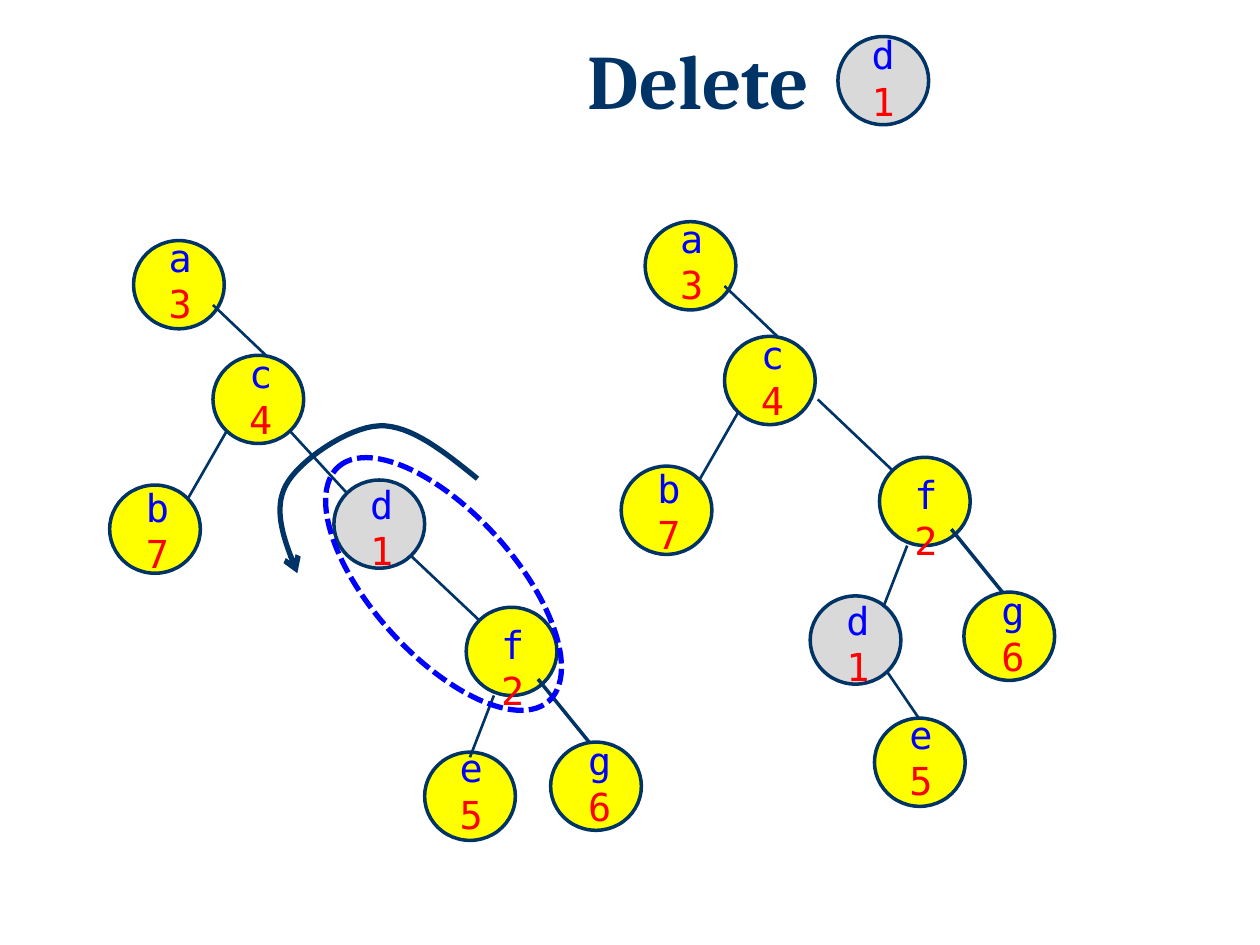
"""Build a slide showing a treap rotation while deleting node d."""
from typing import NamedTuple

from lxml import etree
from pptx import Presentation
from pptx import util as u
from pptx.dml import color
from pptx.enum import dml, shapes, text
from pptx.oxml import ns

NAVY, BLUE, RED, YELLOW, GRAY = "003366", "0000FF", "FF0000", "FFFF00", "D9D9D9"
MONO, SERIF = "DejaVu Sans Mono", "Cambria"
NODE_WIDTH, NODE_HEIGHT = 0.72, 0.70
CURVE_STEPS = 16


class Style(NamedTuple):
    priority: str
    label_dx: float
    label_dy: float
    fill: str = YELLOW
    label_inset: float = 0.05


class Node(NamedTuple):
    key: str
    x: float
    y: float


class Edge(NamedTuple):
    x1: float
    y1: float
    x2: float
    y2: float
    width: float = 1.5


STYLES = {
    "a": Style("3", 0.18, -0.10),
    "b": Style("7", 0.19, -0.06),
    "c": Style("4", 0.19, -0.09),
    "d": Style("1", 0.19, -0.04, GRAY),
    "e": Style("5", 0.18, -0.11),
    "f": Style("2", 0.18, -0.08, YELLOW, 0.19),
    "g": Style("6", 0.20, -0.09),
}
UPPER_PART = [
    Node("a", 0, 0), Node("b", -0.19, 1.94), Edge(0.63, 0.51, 1.05, 0.91),
    Node("c", 0.63, 0.91), Edge(0.43, 2.05, 0.74, 1.51),
]
LOWER_PART = [
    Edge(0.22, 0.70, 0.03, 1.19), Node("f", 0, 0),
    Edge(0.57, 0.57, 1.00, 1.10, 2), Node("g", 0.67, 1.07),
]
ROTATION_CURVE = [
    (3.79, 3.80), (3.53, 3.59), (3.26, 3.37), (3.01, 3.38), (2.76, 3.39),
    (2.37, 3.66), (2.27, 3.85), (2.16, 4.05), (2.26, 4.30), (2.36, 4.55),
]


def rgb(value: str) -> color.RGBColor:
    """Turn a hex string into a colour."""
    return color.RGBColor.from_string(value)


def set_line(line, hex_color: str, width: float) -> None:
    """Set the colour and the width of a line."""
    line.color.rgb = rgb(hex_color)
    line.width = u.Pt(width)


def add_text(page, lines: list[str], x: float, y: float, width: float, height: float, *,
             colors: list[str], font: str, size: float, bold: bool = False,
             wrap: bool = False, align=text.PP_ALIGN.LEFT, spacing: float = 1.0,
             inset: float = 0.05) -> None:
    """Add a text box with one coloured paragraph per line."""
    box = page.shapes.add_textbox(u.Inches(x), u.Inches(y), u.Inches(width), u.Inches(height))
    frame = box.text_frame
    frame.word_wrap = wrap
    frame.margin_top = u.Inches(inset)
    for index, (line, hex_color) in enumerate(zip(lines, colors)):
        para = frame.add_paragraph() if index else frame.paragraphs[0]
        para.alignment = align
        para.line_spacing = spacing
        span = para.add_run()
        span.text = line
        span.font.name = font
        span.font.size = u.Pt(size)
        span.font.bold = bold
        span.font.color.rgb = rgb(hex_color)


def add_ellipse(page, x: float, y: float, width: float, height: float):
    """Add an ellipse without a shadow."""
    ellipse = page.shapes.add_shape(shapes.MSO_SHAPE.OVAL, u.Inches(x), u.Inches(y),
                                    u.Inches(width), u.Inches(height))
    ellipse.shadow.inherit = False
    return ellipse


def draw_node(page, node: Node, label_shift: tuple[float, float] = (0, 0)) -> None:
    """Draw a node with its key above its priority."""
    style = STYLES[node.key]
    circle = add_ellipse(page, node.x, node.y, NODE_WIDTH, NODE_HEIGHT)
    circle.fill.solid()
    circle.fill.fore_color.rgb = rgb(style.fill)
    set_line(circle.line, NAVY, 2)
    add_text(page, [node.key, style.priority],
             node.x + style.label_dx + label_shift[0],
             node.y + style.label_dy + label_shift[1], 0.37, 0.84,
             colors=[BLUE, RED], font=MONO, size=22, inset=style.label_inset)


def draw_edge(page, edge: Edge) -> None:
    """Draw a straight edge."""
    connector = page.shapes.add_connector(
        shapes.MSO_CONNECTOR.STRAIGHT, u.Inches(edge.x1), u.Inches(edge.y1),
        u.Inches(edge.x2), u.Inches(edge.y2))
    set_line(connector.line, NAVY, edge.width)
    etree.SubElement(connector._element.spPr, ns.qn("a:effectLst"))


def draw_part(page, items: list[Node | Edge], x: float = 0, y: float = 0) -> None:
    """Draw nodes and edges relative to a point."""
    for item in items:
        if isinstance(item, Node):
            draw_node(page, item._replace(x=item.x + x, y=item.y + y))
        else:
            draw_edge(page, Edge(item.x1 + x, item.y1 + y, item.x2 + x, item.y2 + y, item.width))


def bezier(controls: list[tuple[float, float]], t: float) -> tuple[int, int]:
    """Return a point on a cubic curve."""
    weights = ((1 - t) ** 3, 3 * t * (1 - t) ** 2, 3 * t * t * (1 - t), t ** 3)
    x, y = (sum(w * value for w, value in zip(weights, axis)) for axis in zip(*controls))
    return u.Inches(x), u.Inches(y)


def draw_rotation(page) -> None:
    """Draw the dashed ring and the curved rotation arrow."""
    ring = add_ellipse(page, 2.27, 4.07, 2.5, 1.13)
    ring.rotation = 48
    ring.fill.background()
    set_line(ring.line, BLUE, 3)
    ring.line.dash_style = dml.MSO_LINE.SQUARE_DOT
    ring.line._ln.find(ns.qn("a:prstDash")).set("val", "sysDash")

    points = [bezier(ROTATION_CURVE[start:start + 4], step / CURVE_STEPS)
              for start in range(0, len(ROTATION_CURVE) - 1, 3)
              for step in range(1, CURVE_STEPS + 1)]
    builder = page.shapes.build_freeform(*bezier(ROTATION_CURVE[:4], 0))
    builder.add_line_segments(points, close=False)
    arrow = builder.convert_to_shape()
    arrow.shadow.inherit = False
    arrow.fill.background()
    set_line(arrow.line, NAVY, 3)
    etree.SubElement(arrow.line._ln, ns.qn("a:tailEnd"), type="arrow")


def main() -> None:
    """Build and save the deck."""
    deck = Presentation()
    deck.slide_width, deck.slide_height = u.Inches(10), u.Inches(7.5)
    page = deck.slides.add_slide(deck.slide_layouts[6])
    add_text(page, ["Delete "], 1.61, 0.29, 8, 0.92, colors=[NAVY], font=SERIF, size=44,
             bold=True, wrap=True, align=text.PP_ALIGN.CENTER, spacing=0.9)
    draw_node(page, Node("d", 6.65, 0.29), label_shift=(-0.02, -0.05))

    draw_part(page, UPPER_PART, 1.06, 1.91)
    draw_part(page, [Node("d", 2.65, 3.81), Edge(2.75, 3.91, 2.30, 3.42), Node("e", 3.37, 5.97)])
    draw_part(page, LOWER_PART, 3.70, 4.82)
    draw_part(page, [Edge(3.26, 4.41, 3.80, 4.92)])
    draw_rotation(page)

    draw_part(page, UPPER_PART, 5.12, 1.76)
    draw_part(page, [Node("d", 6.43, 4.73), Edge(7.04, 5.33, 7.34, 5.77), Node("e", 6.94, 5.70)])
    draw_part(page, LOWER_PART, 6.98, 3.63)
    draw_part(page, [Edge(6.49, 3.17, 7.08, 3.73)])
    deck.save("out.pptx")


if __name__ == "__main__":
    main()
